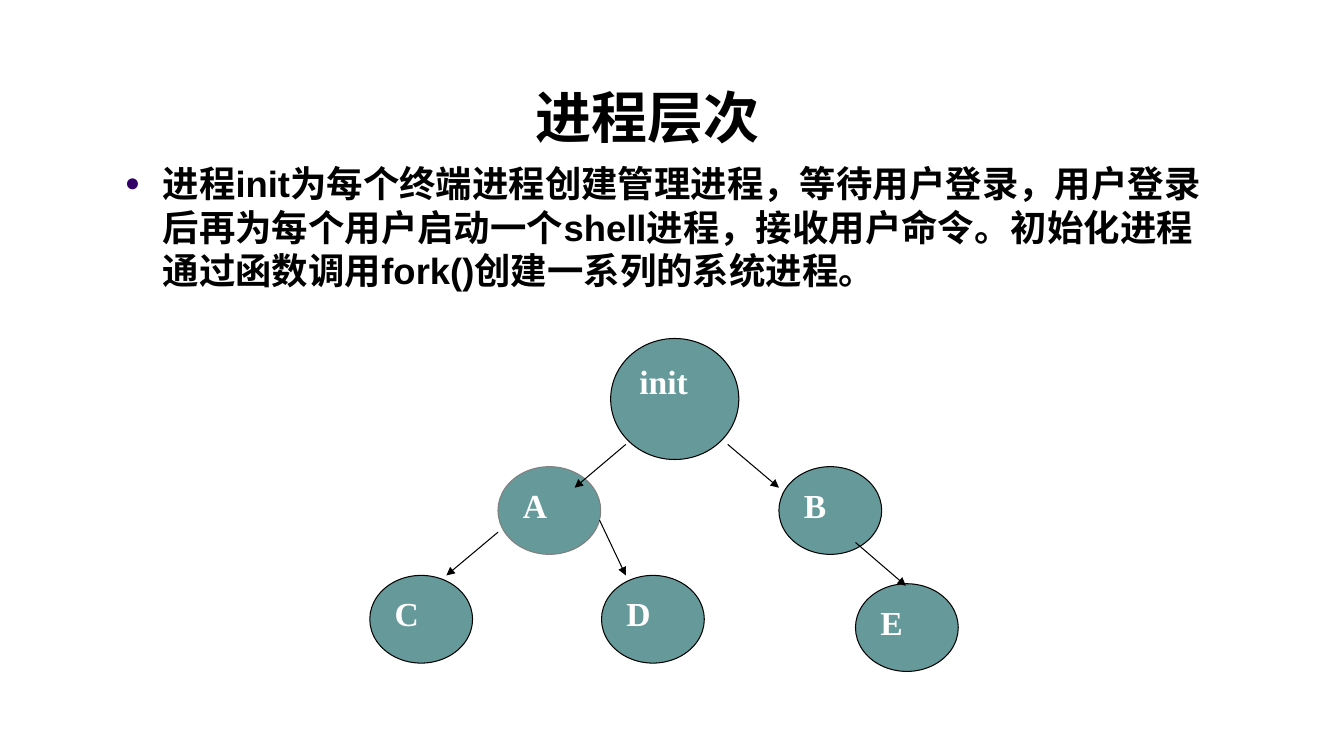
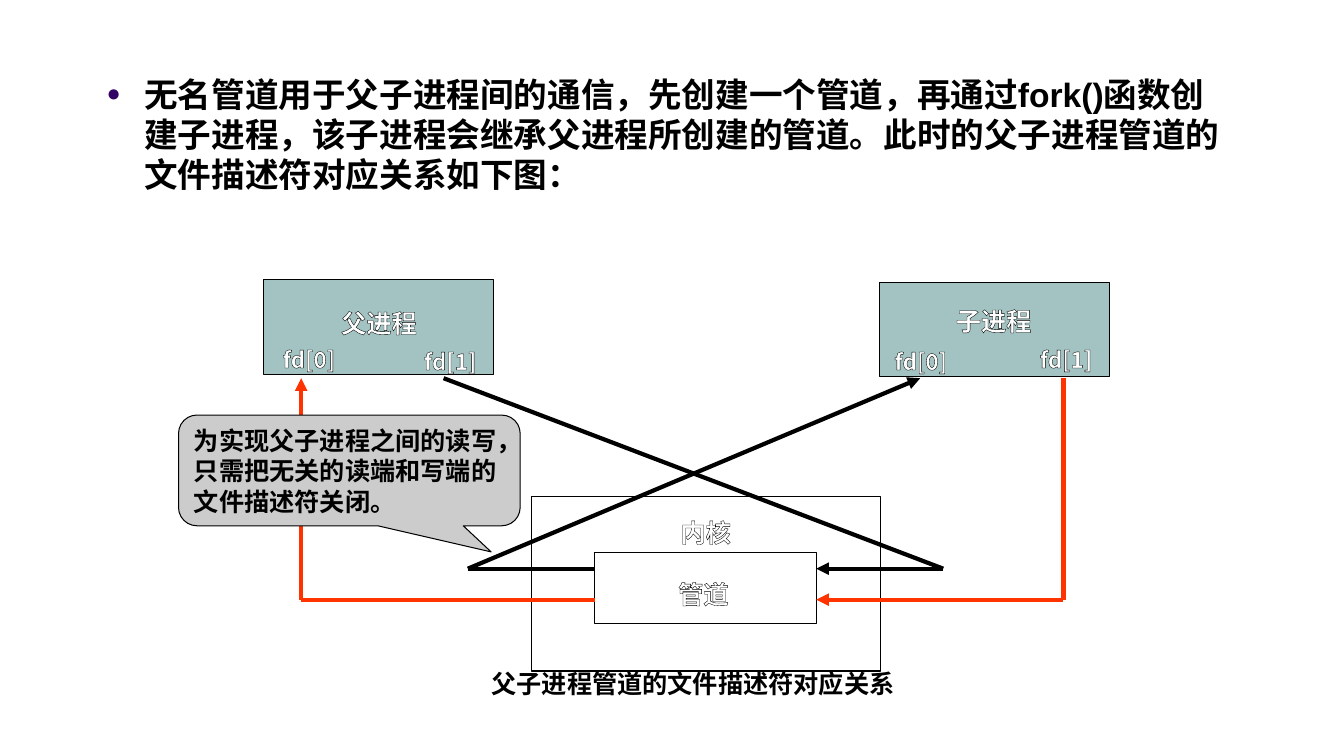
from dataclasses import dataclass
from itertools import pairwise

from lxml import etree
from pptx import Presentation
from pptx.dml.color import RGBColor
from pptx.enum.shapes import MSO_CONNECTOR as Connector, MSO_SHAPE as Shape
from pptx.enum.text import MSO_ANCHOR as Anchor, PP_ALIGN as Align
from pptx.oxml.ns import qn
from pptx.util import Cm, Pt


@dataclass(frozen=True)
class Theme:
    black: str = "000000"
    white: str = "FFFFFF"
    node: str = "669999"
    process: str = "A3C2C2"
    callout: str = "CCCCCC"
    gray: str = "808080"
    red: str = "FF3300"
    bullet: str = "330066"
    sans: str = "Arial"
    serif: str = "Times New Roman"
    chinese: str = "Noto Sans CJK SC"
    title_size: int = 40
    node_size: int = 24
    label_size: int = 18
    descriptor_size: int = 16
    thin: float = 0.75
    thick: float = 3


THEME = Theme()

# Content: all positions and sizes are in centimetres
TITLE = ("进程层次", (2.34, 1.52, 27.94, 2.39))
HIERARCHY_TEXT = (
    "进程init为每个终端进程创建管理进程，等待用户登录，用户登录后再为每个用户启动一个shell进程，"
    "接收用户命令。初始化进程通过函数调用fork()创建一系列的系统进程。",
    (2.9, 3.94, 28.19, 12.24), 26)
PIPE_TEXT = (
    "无名管道用于父子进程间的通信，先创建一个管道，再通过fork()函数创建子进程，"
    "该子进程会继承父进程所创建的管道。此时的父子进程管道的文件描述符对应关系如下图：",
    (2.44, 1.73, 29.01, 3.2), 24)

ROOT_SIZE, CHILD_SIZE = (3.23, 3.05), (2.59, 2.21)
NODES = [
    ("init", (15.39, 8.53), ROOT_SIZE, THEME.black),
    ("A", (12.55, 11.76), CHILD_SIZE, THEME.gray),
    ("B", (19.63, 11.76), CHILD_SIZE, THEME.black),
    ("C", (9.32, 14.5), CHILD_SIZE, THEME.black),
    ("D", (15.16, 14.5), CHILD_SIZE, THEME.black),
    ("E", (21.56, 14.71), CHILD_SIZE, THEME.black),
]
BRANCHES = [
    [(15.77, 11.2), (14.48, 12.29)],
    [(18.34, 11.2), (19.63, 12.29)],
    [(12.55, 13.41), (11.25, 14.5)],
    [(15.11, 13.11), (15.77, 14.5)],
    [(21.56, 13.67), (22.83, 14.76)],
]

BOXES = [
    ((13.39, 12.52, 8.79, 4.39), None),
    ((14.99, 13.92, 5.59, 1.8), None),
    ((6.65, 7.04, 5.79, 2.39), THEME.process),
    ((22.17, 7.11, 5.79, 2.39), THEME.process),
]
NAME, DESCRIPTOR = THEME.label_size, THEME.descriptor_size
LABELS = [
    ("内核", (17.15, 13.03, 1.27, 0.64), NAME),
    ("管道", (17.09, 14.58, 1.27, 0.64), NAME),
    ("父进程", (8.28, 7.75, 2.54, 0.64), NAME),
    ("子进程", (23.77, 7.7, 2.54, 0.64), NAME),
    ("fd[0]", (7.06, 8.71, 1.45, 0.56), DESCRIPTOR),
    ("fd[1]", (10.62, 8.76, 1.45, 0.56), DESCRIPTOR),
    ("fd[0]", (22.48, 8.76, 1.45, 0.56), DESCRIPTOR),
    ("fd[1]", (26.14, 8.71, 1.45, 0.56), DESCRIPTOR),
]
PIPE_LEFT, PIPE_RIGHT, RED_Y, BLACK_Y, FD_Y = 14.99, 20.57, 15.11, 14.33, 9.53
DATA_PATHS = [
    (THEME.red, [(PIPE_LEFT, RED_Y), (7.59, RED_Y), (7.59, FD_Y)]),
    (THEME.red, [(26.8, FD_Y), (26.8, RED_Y), (PIPE_RIGHT, RED_Y)]),
    (THEME.black, [(PIPE_LEFT, BLACK_Y), (11.79, BLACK_Y), (23.19, FD_Y)]),
    (THEME.black, [(11.18, FD_Y), (23.77, BLACK_Y), (PIPE_RIGHT, BLACK_Y)]),
]
CAPTION = ("父子进程管道的文件描述符对应关系", (12.04, 16.71, 10.85, 1.02))
CALLOUT = ("为实现父子进程之间的读写，只需把无关的读端和写端的文件描述符关闭。",
           (4.5, 10.46, 8.61, 2.79), (0.415, 0.736, 0.167))


def rgb(color):
    return RGBColor.from_string(color)


# Text helpers
def write(shape, text, size, color, font, align=Align.LEFT, anchor=Anchor.TOP, wrap=True):
    frame = shape.text_frame
    frame.text = text
    frame.word_wrap = wrap
    frame.vertical_anchor = anchor
    paragraph = frame.paragraphs[0]
    paragraph.alignment = align
    run = paragraph.runs[0]
    run.font.size = Pt(size)
    run.font.bold = True
    run.font.name = font
    run.font.color.rgb = rgb(color)
    east_asian = etree.Element(qn("a:ea"), typeface=THEME.chinese)
    run.font._element.find(qn("a:latin")).addnext(east_asian)
    return paragraph


def add_text(slide, text, box, *style, **layout):
    shape = slide.shapes.add_textbox(*map(Cm, box))
    return shape, write(shape, text, *style, **layout)


def add_bullet_text(slide, text, box, size):
    paragraph = add_text(slide, text, box, size, THEME.black, THEME.sans)[1]
    properties = paragraph._p.get_or_add_pPr()
    properties.set("marL", str(Cm(0.95)))
    properties.set("indent", str(-Cm(0.95)))
    color = etree.SubElement(properties, qn("a:buClr"))
    etree.SubElement(color, qn("a:srgbClr"), val=THEME.bullet)
    etree.SubElement(properties, qn("a:buSzPct"), val="70000")
    etree.SubElement(properties, qn("a:buFont"), typeface=THEME.sans)
    etree.SubElement(properties, qn("a:buChar"), char="●")


def add_outlined_label(slide, text, box, size):
    shape, paragraph = add_text(slide, text, box, size, THEME.white, THEME.chinese,
                                align=Align.CENTER, wrap=False)
    frame = shape.text_frame
    frame.margin_left = frame.margin_right = frame.margin_top = frame.margin_bottom = 0
    outline = etree.Element(qn("a:ln"), w=str(Pt(THEME.thin)))
    fill = etree.SubElement(outline, qn("a:solidFill"))
    etree.SubElement(fill, qn("a:srgbClr"), val=THEME.black)
    paragraph.runs[0].font._element.insert(0, outline)


# Drawing helpers
def add_outline_shape(slide, kind, box, fill, line=THEME.black):
    shape = slide.shapes.add_shape(kind, *map(Cm, box))
    shape.shadow.inherit = False
    if fill:
        shape.fill.solid()
        shape.fill.fore_color.rgb = rgb(fill)
    else:
        shape.fill.background()
    shape.line.color.rgb = rgb(line)
    shape.line.width = Pt(THEME.thin)
    return shape


def add_arrow_path(slide, points, color, width):
    for start, end in pairwise(points):
        connector = slide.shapes.add_connector(Connector.STRAIGHT, *map(Cm, start + end))
        connector.line.color.rgb = rgb(color)
        connector.line.width = Pt(width)
        etree.SubElement(connector._element.spPr, qn("a:effectLst"))
    # Only the last segment carries the arrowhead
    etree.SubElement(connector.line._get_or_add_ln(), qn("a:tailEnd"), type="triangle")


# Slides
def build_hierarchy(slide):
    add_text(slide, *TITLE, THEME.title_size, THEME.black, THEME.sans,
             align=Align.CENTER, anchor=Anchor.BOTTOM)
    add_bullet_text(slide, *HIERARCHY_TEXT)
    for name, position, size, line in NODES:
        node = add_outline_shape(slide, Shape.OVAL, position + size, THEME.node, line)
        write(node, name, THEME.node_size, THEME.white, THEME.serif, align=Align.JUSTIFY)
    for points in BRANCHES:
        add_arrow_path(slide, points, THEME.black, THEME.thin)


def build_pipe(slide):
    add_bullet_text(slide, *PIPE_TEXT)
    for box, fill in BOXES:
        add_outline_shape(slide, Shape.RECTANGLE, box, fill)
    for label in LABELS:
        add_outlined_label(slide, *label)
    for color, points in DATA_PATHS:
        add_arrow_path(slide, points, color, THEME.thick)
    add_text(slide, *CAPTION, THEME.label_size, THEME.black, THEME.chinese,
             align=Align.CENTER, wrap=False)
    text, box, adjustments = CALLOUT
    callout = add_outline_shape(slide, Shape.ROUNDED_RECTANGULAR_CALLOUT, box, THEME.callout)
    for index, value in enumerate(adjustments):
        callout.adjustments[index] = value
    write(callout, text, THEME.label_size, THEME.black, THEME.sans)


def main():
    presentation = Presentation()
    presentation.slide_width, presentation.slide_height = Cm(33.87), Cm(19.05)
    for build in (build_hierarchy, build_pipe):
        build(presentation.slides.add_slide(presentation.slide_layouts[6]))
    presentation.save("out.pptx")


if __name__ == "__main__":
    main()
